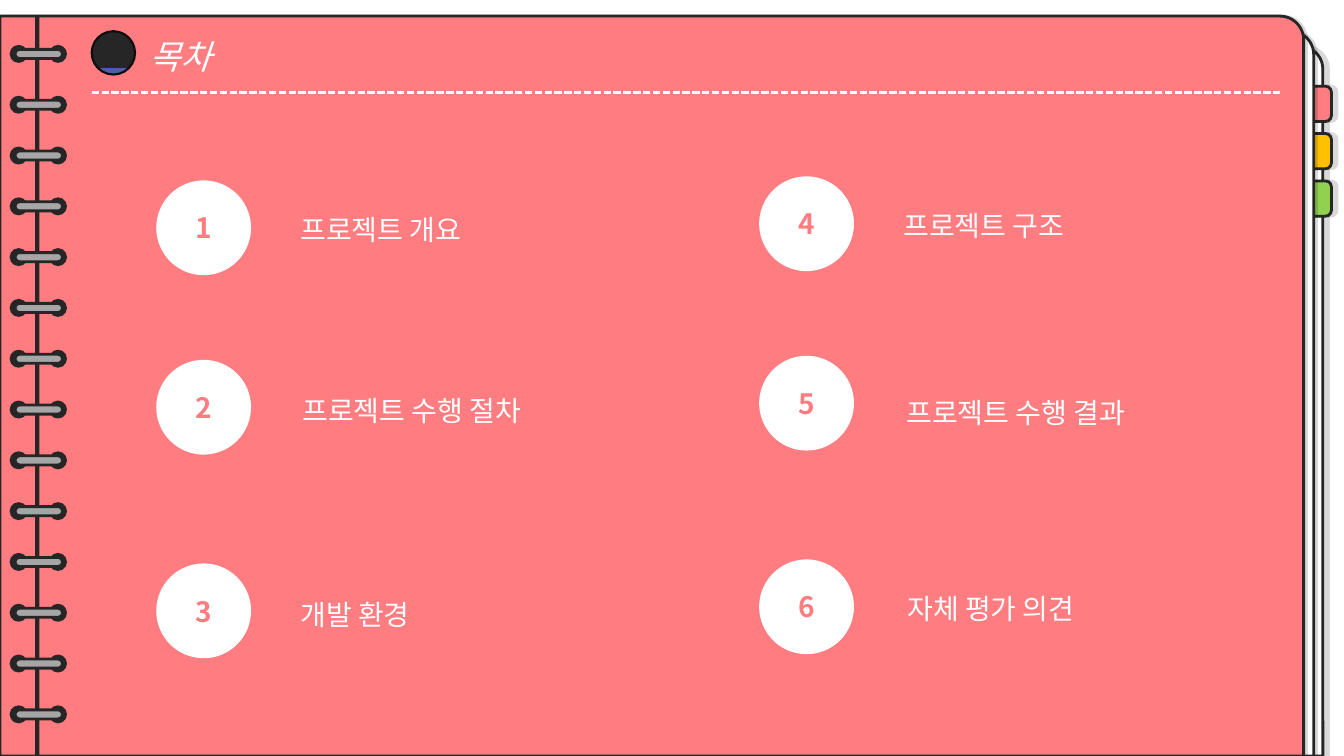
import pptx
import pptx.util
import pptx.dml.color
import pptx.enum.dml
import pptx.enum.shapes
import pptx.enum.text
import pptx.oxml.ns
from dataclasses import dataclass
from lxml import etree

Inches, Pt = pptx.util.Inches, pptx.util.Pt
SHAPE = pptx.enum.shapes.MSO_SHAPE
ALIGN, ANCHOR = pptx.enum.text.PP_ALIGN, pptx.enum.text.MSO_ANCHOR
FIT = pptx.enum.text.MSO_AUTO_SIZE
qn = pptx.oxml.ns.qn


@dataclass(frozen=True)
class Theme:
    font: str = "Noto Sans CJK KR"
    ink: str = "262626"
    white: str = "FFFFFF"
    coral: str = "FF7C80"
    metal: str = "A6A6A6"
    badge_glow: str = "4E5DA7"
    badge_edge: str = "0D0D0D"
    title_size: int = 24
    item_size: int = 20
    outline: float = 2
    badge_outline: float = 1.5
    rule_width: float = 1.75


THEME = Theme()
SLIDE_W, SLIDE_H = 13.33, 7.5

HEADING = "목차"
# Each column: left edge, top shift, entries of (number, label, label offset in x and y)
COLUMNS = [
    (1.55, 0, [("1", "프로젝트 개요", 1.33, 0.27),
               ("2", "프로젝트 수행 절차", 1.35, 0.28),
               ("3", "개발 환경", 1.33, 0.29)]),
    (7.53, -0.04, [("4", "프로젝트 구조", 1.33, 0.27),
                   ("5", "프로젝트 수행 결과", 1.36, 0.34),
                   ("6", "자체 평가 의견", 1.37, 0.27)]),
]
ROW_TOPS = [1.79, 3.57, 5.59]
CIRCLE = 0.94
LABEL_W, LABEL_H = 2.89, 0.44

# Sheets from back to front: top, width, fill, shadow distance
BACK_SHEET = (0.46, 13.12, THEME.white, 4)
FRONT_SHEETS = [(0.31, 13.03, THEME.white, 2), (0.16, 12.93, THEME.coral, 2)]
SHEET_CORNER = 0.032
TAB_FILLS = [THEME.coral, "FFC000", "92D050"]
TAB_LEFT, TAB_TOP, TAB_PITCH = 12.85, 0.85, 0.47
RING_COUNT, RING_TOP, RING_PITCH = 14, 0.46, 0.504
HOLE_LEFTS, HOLE = (0.11, 0.5), 0.15
MARGIN_LEFT, MARGIN_RIGHT, RULE_Y = 0.91, 12.72, 0.92


def rgb(value):
    return pptx.dml.color.RGBColor.from_string(value)


def add_shape(slide, kind, box, fill, outline=None, shadow=None):
    shape = slide.shapes.add_shape(kind, *map(Inches, box))
    shape.shadow.inherit = False
    shape.fill.solid()
    shape.fill.fore_color.rgb = rgb(fill)
    if outline:
        shape.line.color.rgb = rgb(THEME.ink)
        shape.line.width = Pt(outline)
    else:
        shape.line.fill.background()
    if shadow:
        effects = shape._element.spPr.find(qn("a:effectLst"))
        cast = etree.SubElement(effects, qn("a:outerShdw"), blurRad="0",
                                dist=str(Pt(shadow)), dir="0", algn="l", rotWithShape="0")
        black = etree.SubElement(cast, qn("a:srgbClr"), val="000000")
        etree.SubElement(black, qn("a:alpha"), val="15000")
    return shape


def write(shape, text, size, color, align=ALIGN.LEFT, bold=False, italic=False):
    shape.text_frame.text = text
    paragraph = shape.text_frame.paragraphs[0]
    paragraph.alignment = align
    run = paragraph.runs[0]
    run.font.size = Pt(size)
    run.font.bold = bold
    run.font.italic = italic
    run.font.color.rgb = rgb(color)
    run.font.name = THEME.font
    etree.SubElement(run.font._element, qn("a:ea"), typeface=THEME.font)


def add_sheet(slide, top, width, fill, shadow):
    sheet = add_shape(slide, SHAPE.ROUND_1_RECTANGLE, (0, top, width, SLIDE_H - top),
                      fill, THEME.outline, shadow)
    sheet.adjustments[0] = SHEET_CORNER


def add_notebook(slide):
    add_sheet(slide, *BACK_SHEET)
    for index, fill in enumerate(TAB_FILLS):
        tab = add_shape(slide, SHAPE.ROUND_2_SAME_RECTANGLE,
                        (TAB_LEFT, TAB_TOP + index * TAB_PITCH, 0.35, 0.36),
                        fill, THEME.outline, shadow=4)
        tab.rotation = 90
    for sheet in FRONT_SHEETS:
        add_sheet(slide, *sheet)

    spine_top = FRONT_SHEETS[-1][0]
    add_shape(slide, SHAPE.RECTANGLE, (0.35, spine_top, 0.04, SLIDE_H - spine_top), THEME.ink)
    for index in range(RING_COUNT):
        top = RING_TOP + index * RING_PITCH
        for left in HOLE_LEFTS:
            add_shape(slide, SHAPE.OVAL, (left, top, HOLE, HOLE), THEME.ink, THEME.outline)
        wire = add_shape(slide, SHAPE.ROUNDED_RECTANGLE, (0.15, top + 0.03, 0.47, 0.09),
                         THEME.metal, THEME.outline)
        wire.adjustments[0] = 0.5


def add_header(slide):
    badge = add_shape(slide, SHAPE.ROUNDED_RECTANGLE, (MARGIN_LEFT, 0.31, 0.43, 0.43),
                      THEME.ink, THEME.badge_outline)
    badge.adjustments[0] = 0.5
    badge.line.color.rgb = rgb(THEME.badge_edge)
    badge.fill.gradient()
    badge.fill.gradient_angle = 270
    for stop, color in zip(badge.fill.gradient_stops, (THEME.ink, THEME.badge_glow)):
        stop.position = 0.86
        stop.color.rgb = rgb(color)

    rule = slide.shapes.add_connector(
        pptx.enum.shapes.MSO_CONNECTOR.STRAIGHT,
        *map(Inches, (MARGIN_LEFT, RULE_Y, MARGIN_RIGHT, RULE_Y)))
    rule.line.color.rgb = rgb(THEME.white)
    rule.line.width = Pt(THEME.rule_width)
    rule.line.dash_style = pptx.enum.dml.MSO_LINE.SQUARE_DOT
    etree.SubElement(rule._element.spPr, qn("a:effectLst"))

    title = slide.shapes.title
    title.left, title.top = Inches(1.38), Inches(0.16)
    title.width, title.height = Inches(MARGIN_RIGHT - 1.38), Inches(0.74)
    write(title, HEADING, THEME.title_size, THEME.white, italic=True)
    title.text_frame.auto_size = FIT.NONE
    title.text_frame.vertical_anchor = ANCHOR.TOP
    title.text_frame.margin_top = Inches(0.2)
    # The title placeholder starts behind the notebook, so bring it to the front.
    slide.shapes._spTree.append(title._element)


def add_contents(slide):
    for left, shift, entries in COLUMNS:
        for row_top, (number, text, dx, dy) in zip(ROW_TOPS, entries):
            top = row_top + shift
            circle = add_shape(slide, SHAPE.OVAL, (left, top, CIRCLE, CIRCLE), THEME.white)
            write(circle, number, THEME.item_size, THEME.coral, ALIGN.CENTER, bold=True)
            circle.text_frame.vertical_anchor = ANCHOR.MIDDLE

            label = slide.shapes.add_textbox(
                *map(Inches, (left + dx, top + dy, LABEL_W, LABEL_H)))
            write(label, text, THEME.item_size, THEME.white)
            label.text_frame.word_wrap = True
            label.text_frame.auto_size = FIT.SHAPE_TO_FIT_TEXT


def main():
    deck = pptx.Presentation()
    deck.slide_width, deck.slide_height = Inches(SLIDE_W), Inches(SLIDE_H)
    title_only = deck.slide_layouts[5]
    slide = deck.slides.add_slide(title_only)
    add_notebook(slide)
    add_header(slide)
    add_contents(slide)
    deck.save("out.pptx")


if __name__ == "__main__":
    main()
